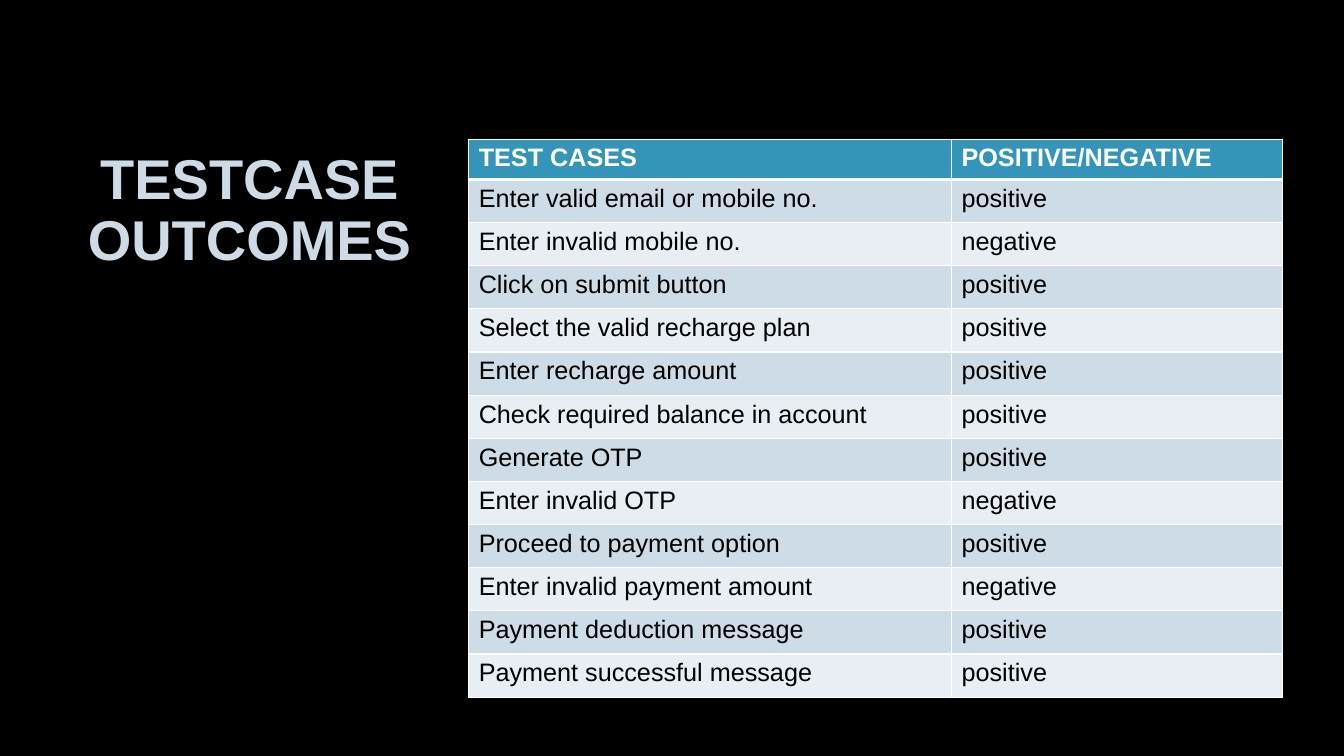
"""Build the test case outcomes slide: a heading beside a banded table."""
from dataclasses import dataclass

from lxml import etree
from pptx import Presentation
from pptx.dml.color import RGBColor
from pptx.enum.text import MSO_ANCHOR, PP_ALIGN
from pptx.oxml.ns import qn
from pptx.util import Inches, Pt

CENTER = PP_ALIGN.CENTER
LEFT = PP_ALIGN.LEFT
TOP = MSO_ANCHOR.TOP
COLUMNS, ROWS = 80, 45

HEADER = ("TEST CASES", "POSITIVE/NEGATIVE")
TEST_CASES = (
    ("Enter valid email or mobile no.", "positive"),
    ("Enter invalid mobile no.", "negative"),
    ("Click on submit button", "positive"),
    ("Select the valid recharge plan", "positive"),
    ("Enter recharge amount", "positive"),
    ("Check required balance in account", "positive"),
    ("Generate OTP", "positive"),
    ("Enter invalid OTP", "negative"),
    ("Proceed to payment option", "positive"),
    ("Enter invalid payment amount", "negative"),
    ("Payment deduction message", "positive"),
    ("Payment successful message", "positive"),
)


@dataclass(frozen=True)
class Theme:
    """Colours, font and sizes used on the slide."""
    font: str = "Arial"
    background: str = "000000"
    title: str = "CEDBE6"
    outline: str = "404040"
    header_fill: str = "3494BA"
    header_text: str = "FFFFFF"
    body_text: str = "000000"
    border: str = "FFFFFF"
    bands: tuple = ("CEDCE7", "E8EEF3")
    title_size: int = 40
    table_size: int = 18
    thin: int = 1
    thick: int = 3


def add_line(parent, tag, color, width, index, opacity=None):
    """Insert a solid line element into text or cell properties."""
    line = etree.Element(qn(tag), w=str(Pt(width)))
    fill = etree.SubElement(line, qn("a:solidFill"))
    shade = etree.SubElement(fill, qn("a:srgbClr"), val=color)
    if opacity is not None:
        etree.SubElement(shade, qn("a:alpha"), val=str(opacity * 1000))
    parent.insert(index, line)


def write_text(frame, text, *, font, size, color, bold=False, align=LEFT,
               spacing=None):
    """Write one formatted paragraph and return its span."""
    para = frame.paragraphs[0]
    para.alignment = align
    if spacing:
        para.line_spacing = spacing
    span = para.add_run()
    span.text = text
    span.font.name = font
    span.font.size = Pt(size)
    span.font.bold = bold
    span.font.color.rgb = RGBColor.from_string(color)
    return span


class Page:
    """A slide with a theme, placed on a grid of columns and rows."""

    def __init__(self, deck, theme):
        """Add a blank slide and paint its background."""
        self.theme = theme
        self.column = deck.slide_width / COLUMNS
        self.row = deck.slide_height / ROWS
        self.slide = deck.slides.add_slide(deck.slide_layouts[6])
        fill = self.slide.background.fill
        fill.solid()
        fill.fore_color.rgb = RGBColor.from_string(theme.background)

    def place(self, left, top, width, height):
        """Turn grid units into slide lengths."""
        return (round(left * self.column), round(top * self.row),
                round(width * self.column), round(height * self.row))

    def title(self, text, left, top, width, height):
        """Add the centred, outlined heading."""
        theme = self.theme
        box = self.slide.shapes.add_textbox(
            *self.place(left, top, width, height))
        frame = box.text_frame
        frame.word_wrap = True
        frame.vertical_anchor = TOP
        frame.margin_top = Inches(0.12)
        span = write_text(frame, text, font=theme.font, size=theme.title_size,
                          color=theme.title, bold=True, align=CENTER,
                          spacing=0.9)
        add_line(span.font._element, "a:ln", theme.outline, 0.75, 0,
                 opacity=10)

    def cell(self, cell, text, fill, color, is_header):
        """Style and fill one table cell."""
        theme = self.theme
        properties = cell._tc.get_or_add_tcPr()
        for index, side in enumerate("LRTB"):
            heavy = is_header and side == "B"
            add_line(properties, f"a:ln{side}", theme.border,
                     theme.thick if heavy else theme.thin, index)
        cell.fill.solid()
        cell.fill.fore_color.rgb = RGBColor.from_string(fill)
        write_text(cell.text_frame, text, font=theme.font,
                   size=theme.table_size, color=color, bold=is_header)

    def table(self, header, records, left, top, widths, header_height,
              row_height):
        """Add a table with a header and alternating row fills."""
        theme = self.theme
        heights = [header_height] + [row_height] * len(records)
        table = self.slide.shapes.add_table(
            len(heights), len(widths),
            *self.place(left, top, sum(widths), sum(heights))).table
        for column, width in zip(table.columns, widths):
            column.width = round(width * self.column)
        for row, height in zip(table.rows, heights):
            row.height = round(height * self.row)
        for number, record in enumerate((header, *records)):
            is_header = number == 0
            fill = (theme.header_fill if is_header
                    else theme.bands[(number - 1) % 2])
            color = theme.header_text if is_header else theme.body_text
            for position, text in enumerate(record):
                self.cell(table.cell(number, position), text, fill, color,
                          is_header)


def main():
    """Create and save the deck."""
    deck = Presentation()
    deck.slide_width, deck.slide_height = Inches(13.33), Inches(7.5)
    page = Page(deck, Theme())
    top = 8.28
    page.title("TESTCASE OUTCOMES", 2.7, top, 24.3, 11.94)
    page.table(HEADER, TEST_CASES, 27.9, top, (28.74, 19.68), 2.4, 2.57)
    deck.save("out.pptx")


if __name__ == "__main__":
    main()
